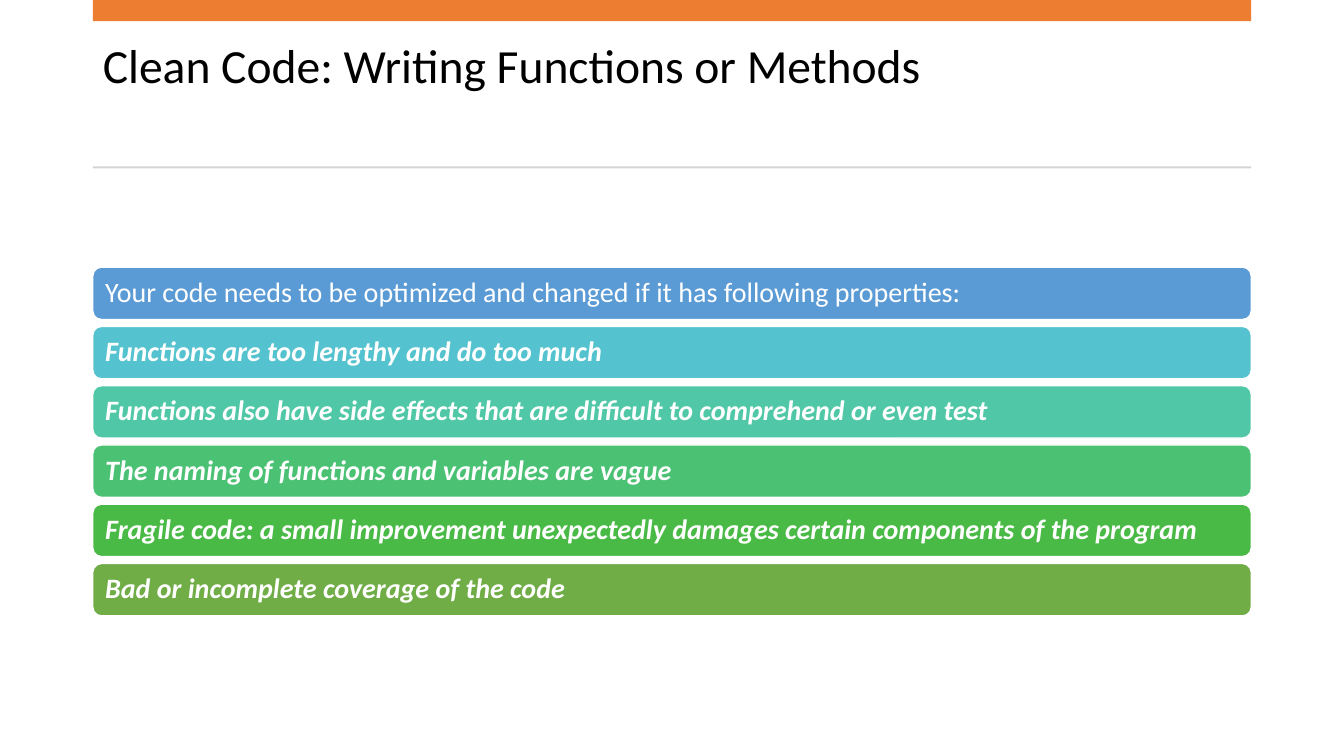
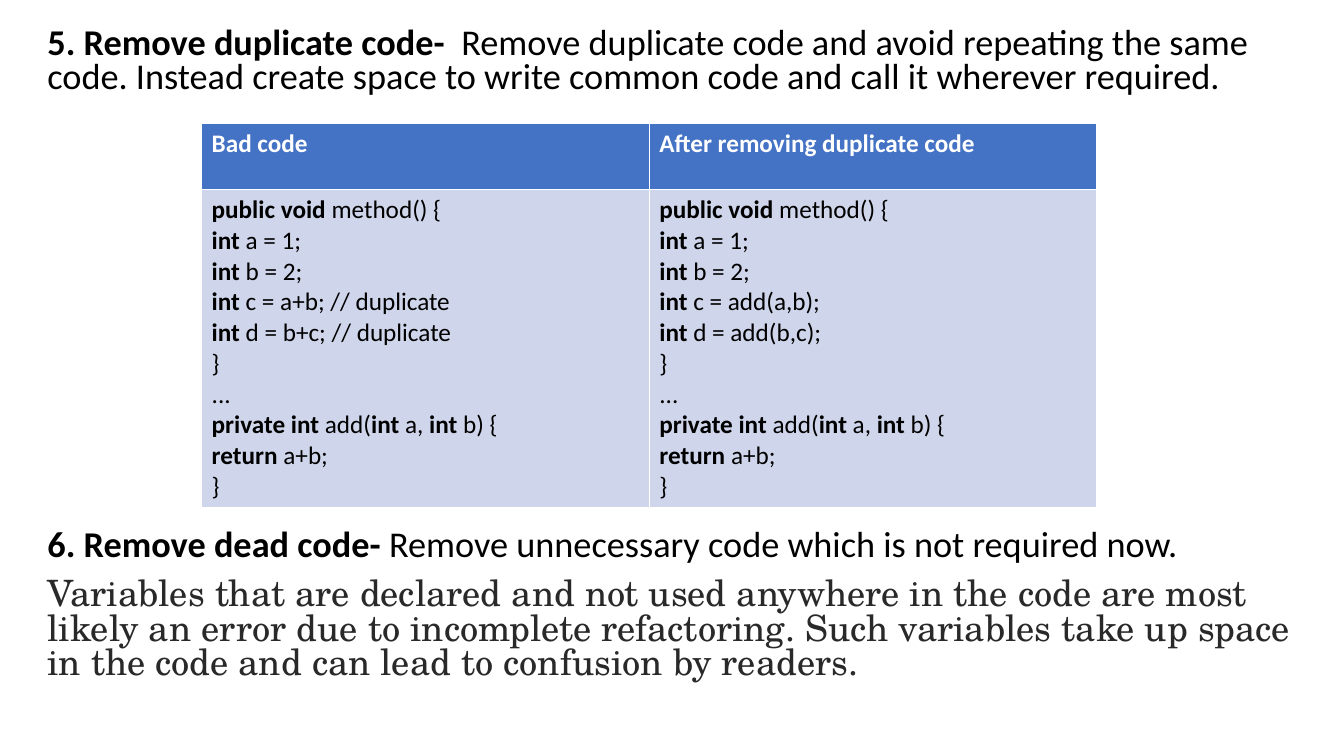
from lxml import etree
from pptx import Presentation
from pptx.dml.color import RGBColor
from pptx.enum import shapes, text
from pptx.oxml.ns import qn
from pptx.util import Inches, Pt

COLORS = {
    "text": "000000", "quote": "292929", "white": "FFFFFF",
    "accent": "ED7D31", "rule": "D5D5D5",
    "header": "4472C4", "cell": "CFD5EA",
}
FONT = "Calibri"
QUOTE_FONT = "TeX Gyre Schola"


def add_runs(paragraph, marked_text, size, color, font=FONT):
    """Add runs to a paragraph; text between ** marks is bold."""
    for index, part in enumerate(marked_text.split("**")):
        if part:
            run = paragraph.add_run()
            run.text = part
            run.font.name = font
            run.font.size = Pt(size)
            run.font.bold = index % 2 == 1
            run.font.color.rgb = RGBColor.from_string(color)


def add_block(slide, kind, left, top, width, height, fill):
    shape = slide.shapes.add_shape(
        kind, Inches(left), Inches(top), Inches(width), Inches(height))
    shape.shadow.inherit = False
    shape.fill.solid()
    shape.fill.fore_color.rgb = RGBColor.from_string(fill)
    shape.line.fill.background()
    return shape


presentation = Presentation()
presentation.slide_width = Inches(13.33)
presentation.slide_height = Inches(7.5)

# Slide 1: title with band and rule
LEFT, WIDTH = 0.92, 11.49
slide = presentation.slides.add_slide(presentation.slide_layouts[5])
title = slide.shapes.title
title.left, title.top = Inches(LEFT), Inches(0.37)
title.width, title.height = Inches(WIDTH), Inches(1.18)
title.text_frame.auto_size = text.MSO_AUTO_SIZE.NONE
title.text_frame.vertical_anchor = text.MSO_ANCHOR.TOP
paragraph = title.text_frame.paragraphs[0]
paragraph.alignment = text.PP_ALIGN.LEFT
paragraph.line_spacing = 0.9
add_runs(paragraph, "Clean Code: Writing Functions or Methods", 34, COLORS["text"])

rectangle = shapes.MSO_SHAPE.RECTANGLE
add_block(slide, rectangle, LEFT, 0, WIDTH, 0.21, COLORS["accent"])
add_block(slide, rectangle, LEFT, 1.65, WIDTH, 0.02, COLORS["rule"])

# Slide 1: stacked bars, the first one being the lead-in
bars = [
    ("5B9BD5", "Your code needs to be optimized and changed if it has following properties:"),
    ("55C3CF", "**Functions are too lengthy and do too much**"),
    ("50C8A7", "**Functions also have side effects that are difficult to comprehend or even test**"),
    ("4BC174", "**The naming of functions and variables are vague**"),
    ("4ABA46", "**Fragile code: a small improvement unexpectedly damages certain "
               "components of the program**"),
    ("70AD47", "**Bad or incomplete coverage of the code**"),
]
FIRST_TOP, LAST_TOP = 2.65, 5.59
pitch = (LAST_TOP - FIRST_TOP) / (len(bars) - 1)
for index, (fill, statement) in enumerate(bars):
    bar = add_block(slide, shapes.MSO_SHAPE.ROUNDED_RECTANGLE,
                    LEFT, FIRST_TOP + index * pitch, WIDTH, 0.52, fill)
    bar.line.color.rgb = RGBColor.from_string(COLORS["white"])
    bar.line.width = Pt(1)
    frame = bar.text_frame
    frame.word_wrap = True
    frame.vertical_anchor = text.MSO_ANCHOR.MIDDLE
    frame.margin_left = frame.margin_right = Inches(0.1)
    paragraph = frame.paragraphs[0]
    paragraph.alignment = text.PP_ALIGN.LEFT
    paragraph.line_spacing = 0.9
    add_runs(paragraph, statement, 20, COLORS["white"])
    paragraph.runs[0].font.italic = index > 0

# Slide 2: body text, with room for the table after the first paragraph
slide = presentation.slides.add_slide(presentation.slide_layouts[1])
title = slide.shapes.title
title.element.getparent().remove(title.element)
body = slide.placeholders[1]
body.left, body.top = Inches(0.37), Inches(0.22)
body.width, body.height = Inches(12.96), Inches(7.11)
frame = body.text_frame
frame.auto_size = text.MSO_AUTO_SIZE.NONE
advice = [
    (0, FONT, COLORS["text"],
     "**5. Remove duplicate code-  **Remove duplicate code and avoid repeating the same "
     "code. Instead create space to write common code and call it wherever required."),
    (309, FONT, COLORS["text"],
     "**6. Remove dead code- **Remove unnecessary code which is not required now."),
    (10, QUOTE_FONT, COLORS["quote"],
     "Variables that are declared and not used anywhere in the code are most likely an "
     "error due to incomplete refactoring. Such variables take up space in the code and "
     "can lead to confusion by readers."),
]
for index, (space_before, font, color, statement) in enumerate(advice):
    paragraph = frame.add_paragraph() if index else frame.paragraphs[0]
    properties = paragraph._p.get_or_add_pPr()
    properties.set("marL", "0")
    properties.set("indent", "0")
    etree.SubElement(properties, qn("a:buNone"))
    paragraph.line_spacing = 0.8
    paragraph.space_before = Pt(space_before)
    add_runs(paragraph, statement, 25.9, color, font)

# Slide 2: code before and after
code = """**public void** method() {
**int** a = 1;
**int** b = 2;
**int** c = {first}
**int** d = {second}
}
...
**private int** add(**int** a, **int** b) {
**return **a+b;
}"""
columns = [
    ("Bad code", "a+b; // duplicate", "b+c; // duplicate"),
    ("After removing duplicate code", "add(a,b);", "add(b,c);"),
]
table = slide.shapes.add_table(
    2, 2, Inches(2), Inches(1.22), Inches(8.88), Inches(3.81)).table
table.rows[0].height = Inches(0.66)
table.rows[1].height = Inches(3.15)
for column, (heading, first, second) in enumerate(columns):
    listing = code.replace("{first}", first).replace("{second}", second)
    contents = [
        (f"**{heading}**", COLORS["header"], COLORS["white"]),
        (listing, COLORS["cell"], COLORS["text"]),
    ]
    for row, (content, fill, color) in enumerate(contents):
        cell = table.cell(row, column)
        cell.fill.solid()
        cell.fill.fore_color.rgb = RGBColor.from_string(fill)
        for index, line in enumerate(content.split("\n")):
            frame = cell.text_frame
            paragraph = frame.add_paragraph() if index else frame.paragraphs[0]
            add_runs(paragraph, line, 18, color)

presentation.save("out.pptx")
